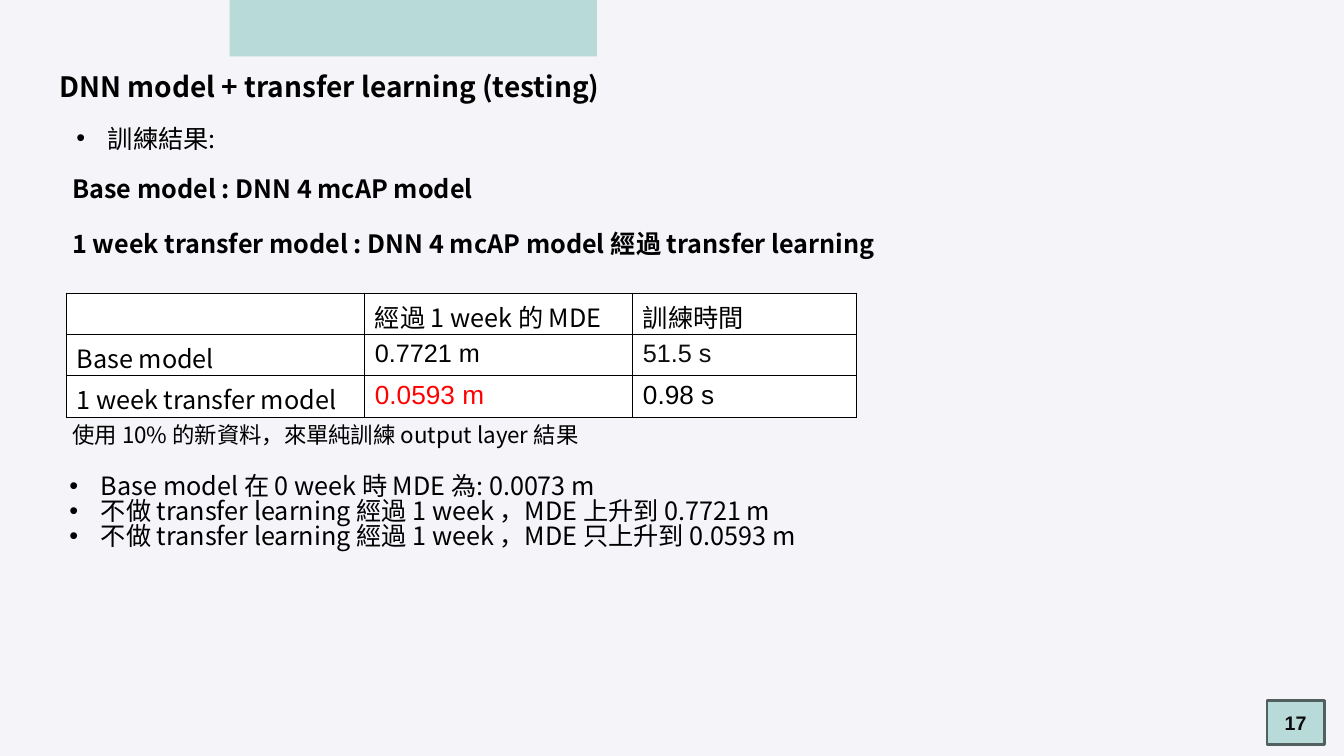
from lxml.etree import SubElement
from pptx import Presentation
from pptx.dml.color import RGBColor
from pptx.enum.shapes import MSO_SHAPE
from pptx.enum.text import MSO_ANCHOR, PP_ALIGN
from pptx.oxml.ns import qn
from pptx.util import Pt

COLORS = {"page": "F4F4F9", "accent": "B8DBD9", "frame": "51605F", "ink": "000000",
          "dark": "0D0D0D", "best": "FF0000", "cell": "FFFFFF"}
CJK = "Noto Sans CJK SC"
LATIN = "Arial"


def color(name):
    return RGBColor.from_string(COLORS[name])


def write(para, text, size=18, font=CJK, ink="ink", bold=False, bullet=False, leading=None):
    """Put one formatted span into a paragraph."""
    if leading:
        para.line_spacing = leading
    if bullet:
        properties = para._p.get_or_add_pPr()
        properties.set("marL", str(Pt(22.5)))
        properties.set("indent", str(-Pt(22.5)))
        SubElement(properties, qn("a:buFont"), typeface=LATIN)
        SubElement(properties, qn("a:buChar"), char="•")
    span = para.add_run()
    span.text = text
    span.font.size = Pt(size)
    span.font.name = font
    span.font.bold = bold
    span.font.color.rgb = color(ink)
    SubElement(span._r.get_or_add_rPr(), qn("a:ea"), typeface=font)


def add_block(page, left, top, width, height, lines, gap=0, **style):
    """Text box with one paragraph per line."""
    box = page.shapes.add_textbox(Pt(left), Pt(top), Pt(width), Pt(height))
    frame = box.text_frame
    frame.word_wrap = True
    frame.margin_top = Pt(4.5)
    for index, line in enumerate(lines):
        para = frame.paragraphs[0] if index == 0 else frame.add_paragraph()
        if index and gap:
            para.space_before = Pt(gap)
        write(para, line, leading=0.82, **style)


def add_rectangle(page, left, top, width, height):
    shape = page.shapes.add_shape(MSO_SHAPE.RECTANGLE, Pt(left), Pt(top), Pt(width), Pt(height))
    shape.shadow.inherit = False
    shape.fill.solid()
    shape.fill.fore_color.rgb = color("accent")
    shape.line.fill.background()
    return shape


def add_page_number(page, left, top, width, height, number):
    badge = add_rectangle(page, left, top, width, height)
    badge.line.color.rgb = color("frame")
    badge.line.width = Pt(2)
    frame = badge.text_frame
    frame.vertical_anchor = MSO_ANCHOR.MIDDLE
    frame.paragraphs[0].alignment = PP_ALIGN.CENTER
    write(frame.paragraphs[0], number, size=14, font=LATIN, ink="dark", bold=True)


def add_borders(cell):
    properties = cell._tc.get_or_add_tcPr()
    for index, side in enumerate(("lnL", "lnR", "lnT", "lnB")):
        line = properties.makeelement(qn(f"a:{side}"), {"w": str(Pt(1))})
        fill = SubElement(line, qn("a:solidFill"))
        SubElement(fill, qn("a:srgbClr"), val=COLORS["ink"])
        properties.insert(index, line)


def add_results(page, left, top, widths, row_height, rows):
    """Table of errors and training times; each cell is a text and its format."""
    frame = page.shapes.add_table(len(rows), len(widths), Pt(left), Pt(top),
                                  Pt(sum(widths)), Pt(row_height * len(rows)))
    table = frame.table
    table.first_row = table.horz_banding = False
    for column, width in zip(table.columns, widths):
        column.width = Pt(width)
    for row, cells in zip(table.rows, rows):
        row.height = Pt(row_height)
        for cell, (text, style) in zip(row.cells, cells):
            cell.fill.solid()
            cell.fill.fore_color.rgb = color("cell")
            cell.margin_top = Pt(3.4)
            cell.margin_bottom = cell.margin_right = Pt(0)
            add_borders(cell)
            para = cell.text_frame.paragraphs[0]
            if text:
                write(para, text, **style)
            else:
                para.font.size = Pt(18)


def build_results_page(deck):
    page = deck.slides.add_slide(deck.slide_layouts[6])
    page.background.fill.solid()
    page.background.fill.fore_color.rgb = color("page")

    # Top band, page number and title
    add_rectangle(page, 164, -68.4, 262.4, 108.7)
    add_page_number(page, 905, 500.4, 41, 31.7, "17")
    add_block(page, 35.3, 49.7, 937.4, 31.7, ["DNN model + transfer learning (testing)"],
              size=20, bold=True)

    # Models compared
    add_block(page, 47.5, 87.1, 851, 28.8, ["訓練結果:"], bullet=True)
    add_block(page, 44.6, 123.1, 751.7, 94.3,
              ["Base model : DNN 4 mcAP model",
               "1 week transfer model : DNN 4 mcAP model 經過 transfer learning"],
              gap=21.5, bold=True)

    # Results table
    value = {"font": LATIN}
    rows = [
        [("", {}), ("經過 1 week 的 MDE", {}), ("訓練時間", {})],
        [("Base model", {}), ("0.7721 m", value), ("51.5 s", {"font": LATIN, "ink": "dark"})],
        [("1 week transfer model", {}),
         ("0.0593 m", {"font": LATIN, "size": 18.7, "ink": "best"}),
         ("0.98 s", {"font": LATIN, "size": 18.7})],
    ]
    add_results(page, 47.5, 209.5, [213.1, 191.5, 159.8], 29.5, rows)

    # Findings
    add_block(page, 44.6, 299.5, 599, 26.6,
              ["使用 10% 的新資料，來單純訓練 output layer 結果"], size=16)
    add_block(page, 42.5, 335.5, 582.5, 72.7,
              ["Base model 在 0 week 時 MDE 為: 0.0073 m",
               "不做 transfer learning 經過 1 week ，MDE 上升到 0.7721 m",
               "不做 transfer learning 經過 1 week ，MDE 只上升到 0.0593 m"], bullet=True)


def main():
    deck = Presentation()
    deck.slide_width, deck.slide_height = Pt(960), Pt(540)
    build_results_page(deck)
    deck.save("out.pptx")


if __name__ == "__main__":
    main()
